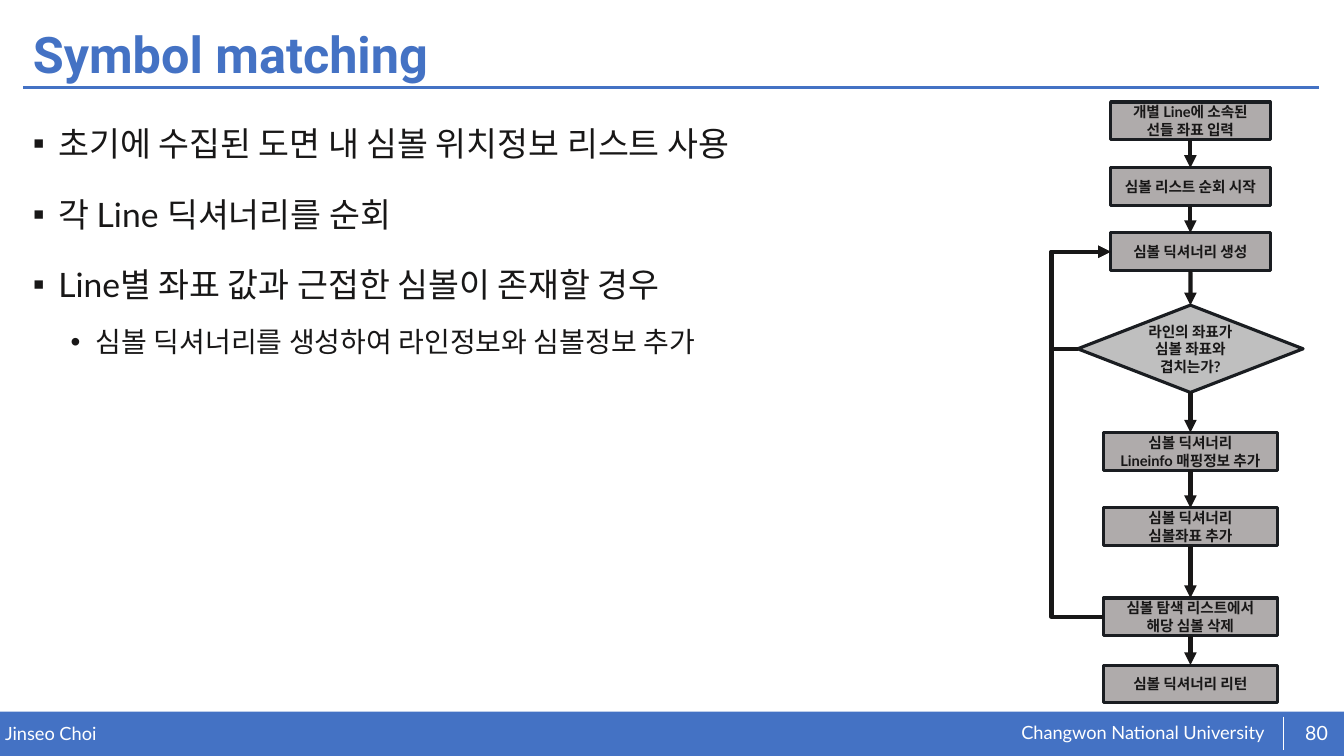
from itertools import pairwise

from lxml.etree import SubElement
from pptx import Presentation
from pptx.dml.color import RGBColor
from pptx.enum.shapes import MSO_CONNECTOR as CONN, MSO_SHAPE as SHAPE
from pptx.enum.text import MSO_ANCHOR as ANCHOR, PP_ALIGN as ALIGN
from pptx.oxml.ns import qn
from pptx.util import Cm, Pt

BLUE, WHITE, INK, OUTLINE = "4472C4", "FFFFFF", "181717", "1A1D21"
GREY, LIGHT_GREY = "AFABAB", "BFBFBF"
TOP, LEFT, BOTTOM = 0, 1, 2
NODE_H = 0.95

BULLETS = [
    (0, "초기에 수집된 도면 내 심볼 위치정보 리스트 사용"),
    (0, "각 Line 딕셔너리를 순회"),
    (0, "Line별 좌표 값과 근접한 심볼이 존재할 경우"),
    (1, "심볼 딕셔너리를 생성하여 라인정보와 심볼정보 추가"),
]
LEVELS = [("▪", 0.64, 24, 10), ("•", 1.59, 20, 5)]

NARROW, WIDE = (4.02, NODE_H, SHAPE.RECTANGLE, GREY), (4.38, NODE_H, SHAPE.RECTANGLE, GREY)
DECISION = (5.68, 2.2, SHAPE.FLOWCHART_DECISION, LIGHT_GREY)
STEPS = [
    (0, NARROW, "개별 Line에 소속된\n선들 좌표 입력"),
    (1.66, NARROW, "심볼 리스트 순회 시작"),
    (3.3, NARROW, "심볼 딕셔너리 생성"),
    (5.12, DECISION, "라인의 좌표가\n심볼 좌표와\n겹치는가?"),
    (8.33, WIDE, "심볼 딕셔너리\nLineinfo 매핑정보 추가"),
    (10.23, WIDE, "심볼 딕셔너리\n심볼좌표 추가"),
    (12.5, WIDE, "심볼 탐색 리스트에서\n해당 심볼 삭제"),
    (14.19, WIDE, "심볼 딕셔너리 리턴"),
]


def color(value):
    return RGBColor.from_string(value)


def write(sp, text, size, fill, font="Lato", bold=False, align=ALIGN.LEFT,
          anchor=ANCHOR.TOP, inset=0):
    tf = sp.text_frame
    tf.word_wrap = True
    tf.vertical_anchor = anchor
    tf.margin_left = tf.margin_right = Cm(inset)
    tf.margin_top = tf.margin_bottom = Cm(inset / 2)
    tf.text = text
    for p in tf.paragraphs:
        p.alignment = align
        for r in p.runs:
            r.font.name, r.font.size, r.font.bold = font, Pt(size), bold
            r.font.color.rgb = color(fill)
    return tf


def add_text(s, box, text, size, fill, **style):
    return write(s.shapes.add_textbox(*map(Cm, box)), text, size, fill, **style)


def add_box(s, kind, box, fill):
    sp = s.shapes.add_shape(kind, *map(Cm, box))
    sp.shadow.inherit = False
    sp.fill.solid()
    sp.fill.fore_color.rgb = color(fill)
    sp.line.fill.background()
    return sp


def add_line(s, ends, fill, width, kind=CONN.STRAIGHT, arrow=False):
    line = s.shapes.add_connector(kind, *ends)
    line.line.color.rgb = color(fill)
    line.line.width = Pt(width)
    if arrow:
        SubElement(line.line._get_or_add_ln(), qn("a:tailEnd"), type="triangle")
    SubElement(line._element.spPr, qn("a:effectLst"))
    return line


def add_header(s, left, top, width, height):
    add_line(s, map(Cm, (left, top + 1.75, left + width, top + 1.75)), BLUE, 2)
    tf = add_text(s, (left, top, width, height), "Symbol matching", 36, BLUE,
                  font="Roboto", bold=True, anchor=ANCHOR.MIDDLE, inset=0.25)
    tf.paragraphs[0].line_spacing = 0.9


def add_footer(s, left, top, width, height):
    add_box(s, SHAPE.RECTANGLE, (left, top, width, height), BLUE)
    add_text(s, (left + 0.13, top + 0.28, 16.6, 0.56), "Jinseo Choi", 13, WHITE)
    right = left + width
    add_text(s, (right - 8.13, top + 0.25, 6.88, 0.58),
             "Changwon National University", 13, WHITE)
    rule = right - 1.53
    add_line(s, map(Cm, (rule, top + 0.13, rule, top + 0.97)), WHITE, 0.5)
    add_text(s, (right - 1.3, top + 0.03, 1.22, 1.02), "80", 14, WHITE,
             align=ALIGN.CENTER, anchor=ANCHOR.MIDDLE)


def add_bullets(s, *box):
    tf = add_text(s, box, "\n".join(text for _, text in BULLETS), 24, INK, inset=0.25)
    for i, (p, (level, _)) in enumerate(zip(tf.paragraphs, BULLETS)):
        mark, indent, size, before = LEVELS[level]
        p.level = level
        pPr = p._p.get_or_add_pPr()
        pPr.set("marL", str(Cm(indent)))
        pPr.set("indent", str(-Cm(0.64)))
        SubElement(pPr, qn("a:buFont"), typeface="Arial")
        SubElement(pPr, qn("a:buChar"), char=mark)
        p.line_spacing = 1.4
        p.space_before = Pt(before if i else 0)
        p.runs[0].font.size = Pt(size)


def add_step(s, center, top, style, text):
    width, height, kind, fill = style
    sp = add_box(s, kind, (center - width / 2, top, width, height), fill)
    sp.line.color.rgb = color(OUTLINE)
    sp.line.width = Pt(2.25)
    write(sp, text, 10.5, INK, bold=True, align=ALIGN.CENTER, anchor=ANCHOR.MIDDLE)
    return sp


def join(s, start, start_side, end, end_side, kind=CONN.STRAIGHT):
    line = add_line(s, (0, 0, 0, 0), INK, 3, kind, arrow=True)
    line.begin_connect(start, start_side)
    line.end_connect(end, end_side)
    return line


def add_loop(s, start, end, lane):
    line = join(s, start, LEFT, end, LEFT, CONN.ELBOW)
    ratio = (lane - start.left) / (end.left - start.left)
    guides = line._element.spPr.prstGeom.get_or_add_avLst()
    SubElement(guides, qn("a:gd"), name="adj1", fmla=f"val {round(ratio * 100000)}")


def add_flowchart(s, left, top, width):
    center = left + width - 2.84
    steps = [add_step(s, center, top + y, style, text) for y, style, text in STEPS]
    for start, end in pairwise(steps):
        join(s, start, BOTTOM, end, TOP)
    create, decide, remove = steps[2], steps[3], steps[6]
    for start in (decide, remove):
        add_loop(s, start, create, Cm(left))


def main():
    prs = Presentation()
    prs.slide_width, prs.slide_height = Cm(33.87), Cm(19.05)
    s = prs.slides.add_slide(prs.slide_layouts[6])
    add_footer(s, 0, 17.93, 33.87, 1.12)
    add_header(s, 0.58, 0.46, 32.66, 1.96)
    add_bullets(s, 0.58, 2.57, 32.66, 14.3)
    add_flowchart(s, 26.5, 2.57, 6.34)
    prs.save("out.pptx")


if __name__ == "__main__":
    main()
